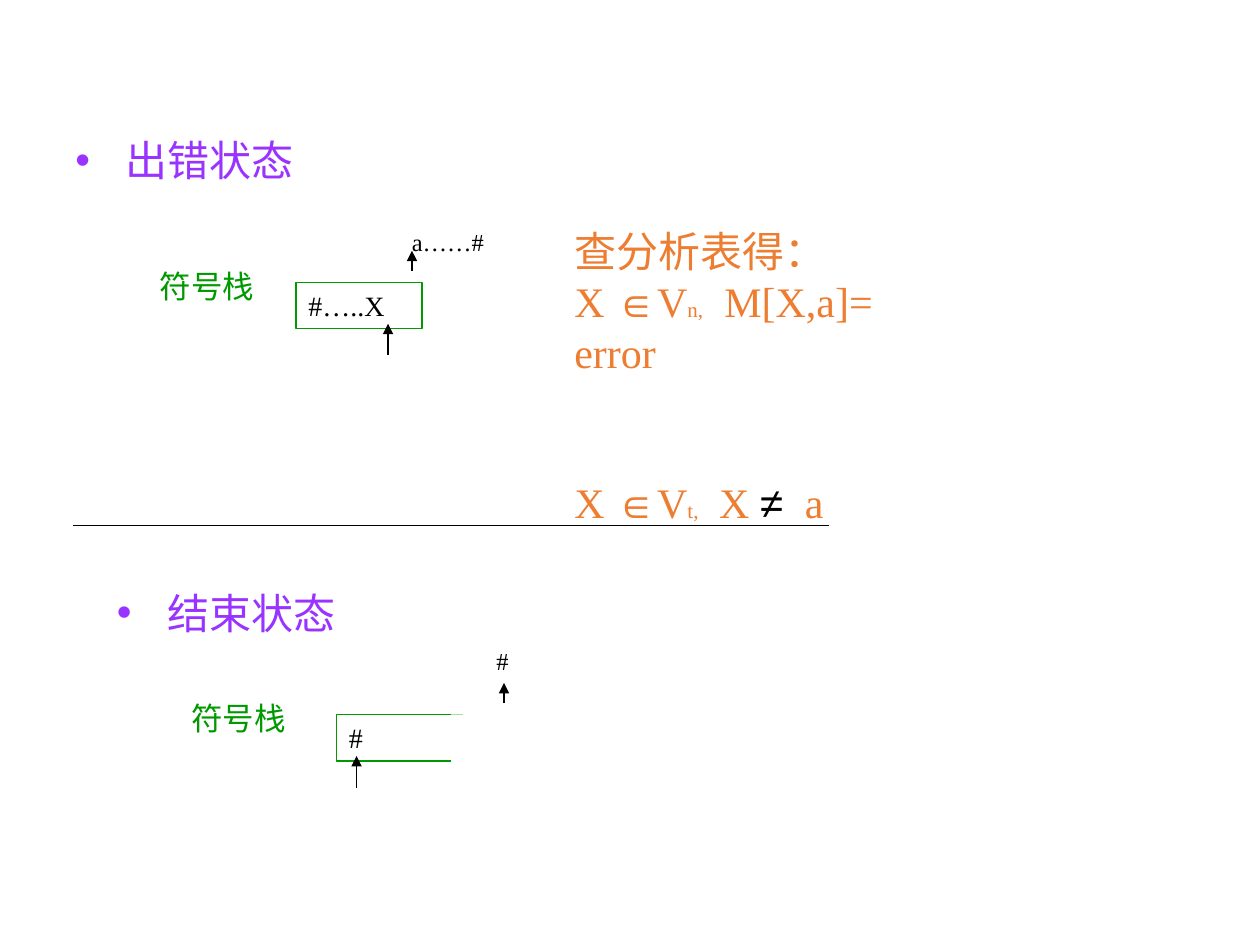
from lxml.etree import SubElement
from pptx import Presentation
from pptx.dml.color import RGBColor
from pptx.enum.shapes import MSO_CONNECTOR, MSO_SHAPE
from pptx.enum.text import MSO_ANCHOR, PP_ALIGN
from pptx.oxml.ns import qn
from pptx.util import Inches, Pt

PURPLE = RGBColor(0x99, 0x33, 0xFF)
GREEN = RGBColor(0x00, 0x99, 0x00)
ORANGE = RGBColor(0xED, 0x7D, 0x31)
BLACK = RGBColor(0, 0, 0)
WHITE = RGBColor(0xFF, 0xFF, 0xFF)
SERIF = "Times New Roman"

# text, left, top, width, height, line spacing
HEADS = [
    ("出错状态", 0.5, 1.02, 1.98, 0.5, 1.0),
    ("结束状态", 0.83, 4.53, 1.98, 0.58, 1.2),
]
# text, left, top, width, height, size, colour
LABELS = [
    ("符号栈", 1.17, 2.07, 1, 0.4, 18, GREEN),
    ("a……#", 3.17, 1.75, 0.9, 0.34, 14, BLACK),
    ("符号栈", 1.42, 5.5, 1, 0.4, 18, GREEN),
    ("#", 3.84, 5.08, 0.32, 0.34, 14, BLACK),
]
STACKS = [("#…..X", 2.35, 2.24), ("#", 2.67, 5.67)]
COVER = (3.58, 5.67, 0.17, 0.42)  # leaves the last stack open on the right
# x, from y, to y
ARROWS = [(3.08, 2.82, 2.57), (3.27, 2.15, 1.99),
          (2.83, 6.25, 6), (4, 5.58, 5.42)]
RULE = (0.58, 4.17, 6.58, 4.17)
# tab stops, space before, runs of (text, size, font, colour)
RESULT = [
    ([], 0, [("查分析表得：", 24, SERIF, ORANGE)]),
    ([1.19], 0, [("X ∈V", 24, SERIF, ORANGE), ("n,", 12, SERIF, ORANGE),
                 ("\tM[X,a]= error", 24, SERIF, ORANGE)]),
    ([1.15, 1.83], 57, [("X ∈V", 24, SERIF, ORANGE), ("t,", 12, SERIF, ORANGE),
                        ("\tX ", 24, SERIF, ORANGE), ("≠", 24, "Arial", BLACK),
                        ("\ta", 24, SERIF, ORANGE)]),
]


def style(font, size, color, name=SERIF):
    font.size, font.name = Pt(size), name
    font.color.rgb = color


def add_box(slide, area):
    frame = slide.shapes.add_textbox(*map(Inches, area)).text_frame
    frame.word_wrap = True
    return frame


def add_rect(slide, area):
    rect = slide.shapes.add_shape(MSO_SHAPE.RECTANGLE, *map(Inches, area))
    rect.shadow.inherit = False
    return rect


def add_line(slide, ends, arrow=False):
    line = slide.shapes.add_connector(MSO_CONNECTOR.STRAIGHT, *map(Inches, ends))
    line.line.color.rgb = BLACK
    line.line.width = Pt(0.75)
    props = line._element.spPr
    if arrow:
        SubElement(props.find(qn("a:ln")), qn("a:tailEnd"), type="triangle")
    SubElement(props, qn("a:effectLst"))


def add_bullet(para, color, indent):
    props = para._p.get_or_add_pPr()
    props.set("marL", str(Inches(indent)))
    props.set("indent", str(-Inches(indent)))
    tint = SubElement(props, qn("a:buClr"))
    SubElement(tint, qn("a:srgbClr"), val=str(color))
    SubElement(props, qn("a:buFont"), typeface="Arial")
    SubElement(props, qn("a:buChar"), char="•")


def add_tabs(para, stops):
    tabs = SubElement(para._p.get_or_add_pPr(), qn("a:tabLst"))
    for stop in stops:
        SubElement(tabs, qn("a:tab"), pos=str(Inches(stop)), algn="l")


def add_result(slide):
    frame = add_box(slide, (4.46, 1.74, 3.21, 2.1))
    for i, (stops, gap, runs) in enumerate(RESULT):
        para = frame.add_paragraph() if i else frame.paragraphs[0]
        if stops:
            add_tabs(para, stops)
        if gap:
            para.space_before = Pt(gap)
        for text, size, name, color in runs:
            run = para.add_run()
            run.text = text
            style(run.font, size, color, name)


def main():
    prs = Presentation()
    prs.slide_width, prs.slide_height = Inches(10), Inches(7.5)
    slide = prs.slides.add_slide(prs.slide_layouts[6])

    for text, *area, space in HEADS:
        para = add_box(slide, area).paragraphs[0]
        para.text = text
        add_bullet(para, PURPLE, 0.4)
        para.line_spacing = space
        style(para.runs[0].font, 24, PURPLE)

    for text, left, top in STACKS:
        rect = add_rect(slide, (left, top, 1, 0.37))
        rect.fill.background()
        rect.line.color.rgb = GREEN
        rect.line.width = Pt(0.75)
        frame = rect.text_frame
        frame.text = text
        frame.vertical_anchor = MSO_ANCHOR.TOP
        para = frame.paragraphs[0]
        para.alignment = PP_ALIGN.LEFT
        style(para.runs[0].font, 16, BLACK)

    cover = add_rect(slide, COVER)
    cover.fill.solid()
    cover.fill.fore_color.rgb = WHITE
    cover.line.fill.background()

    for x, start, end in ARROWS:
        add_line(slide, (x, start, x, end), arrow=True)

    for text, *area, size, color in LABELS:
        frame = add_box(slide, area)
        frame.text = text
        style(frame.paragraphs[0].runs[0].font, size, color)

    add_result(slide)
    add_line(slide, RULE)
    prs.save("out.pptx")


if __name__ == "__main__":
    main()
